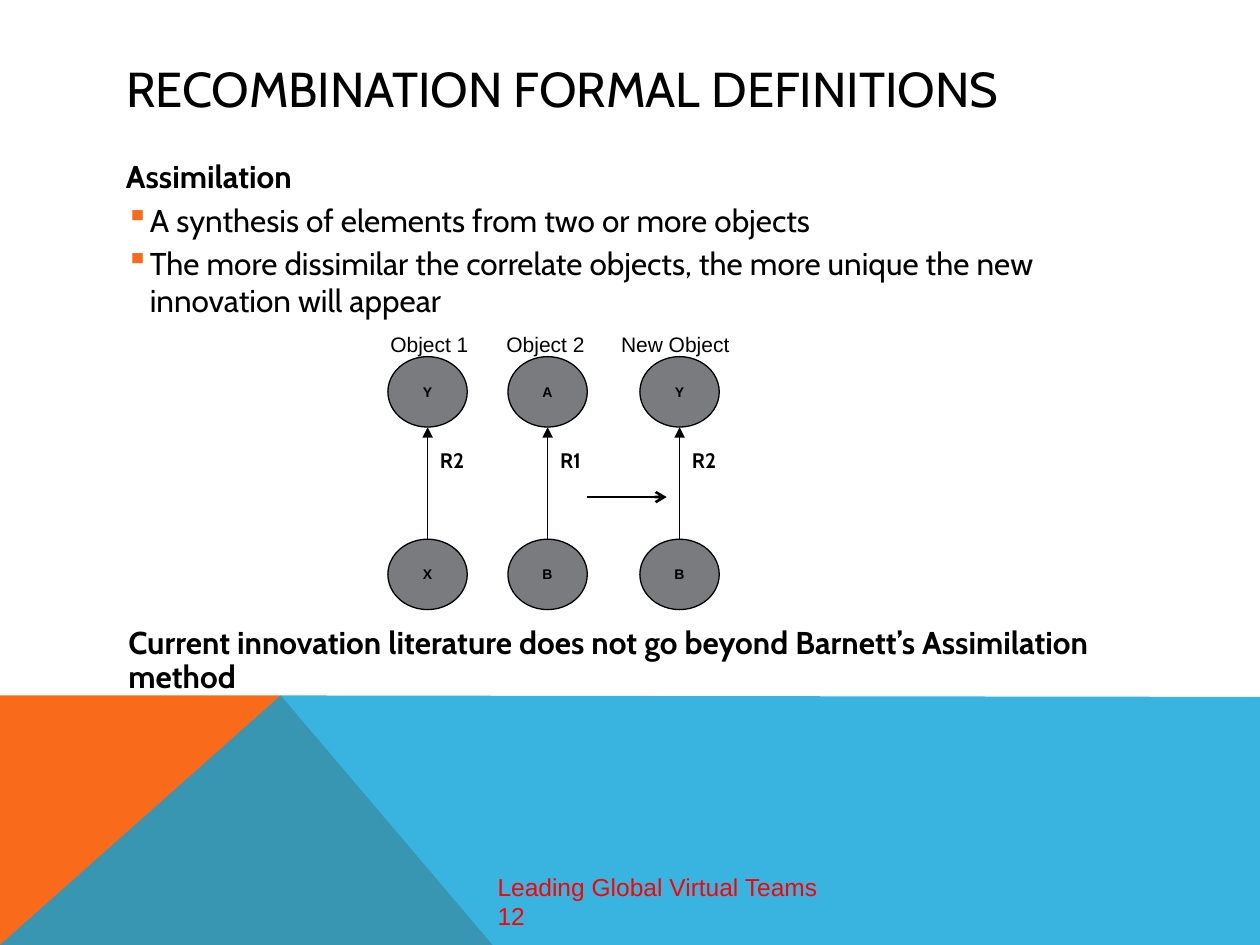
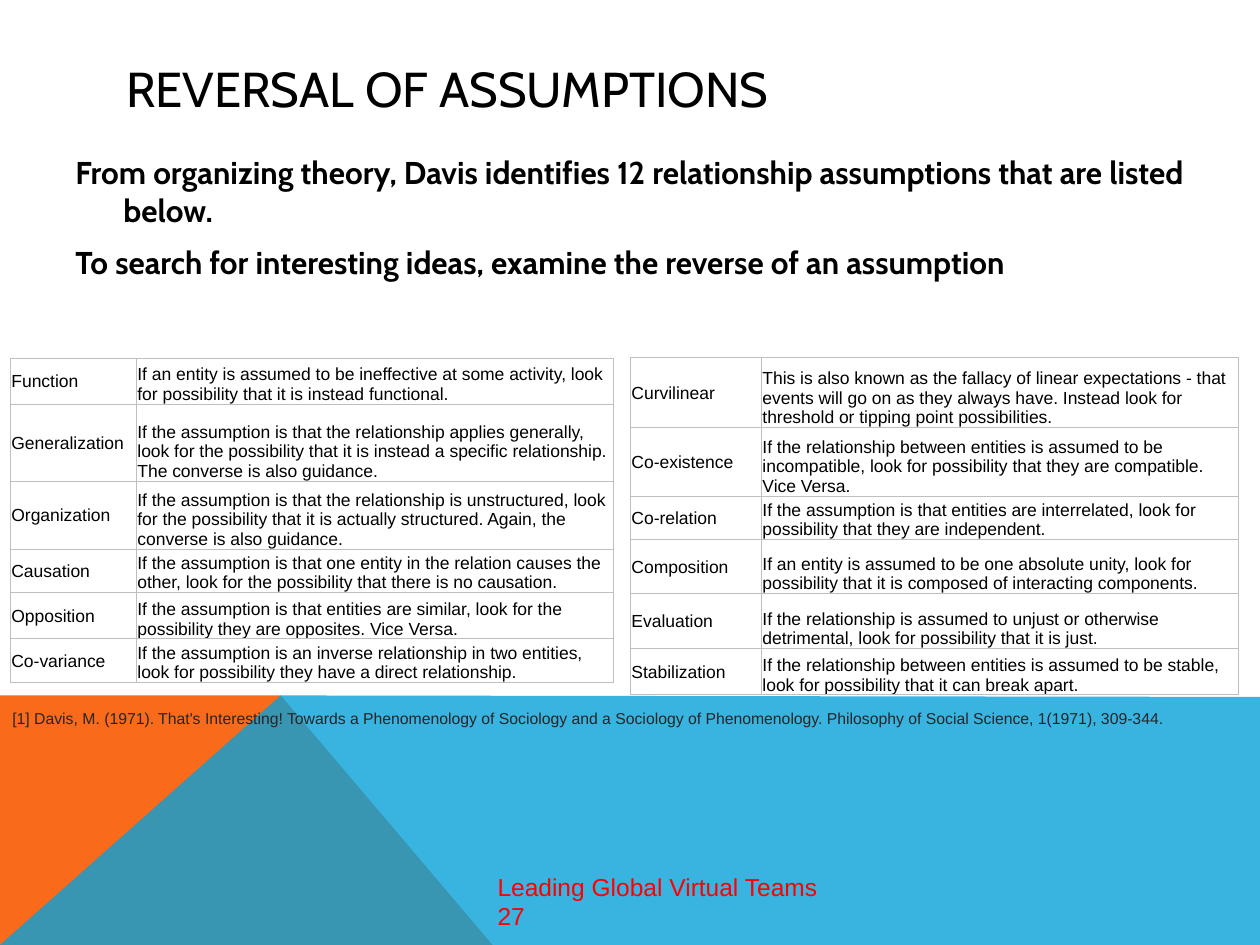
"""Builds two slides on recombination and on the reversal of assumptions."""
from lxml import etree
from pptx import Presentation
from pptx.dml.color import RGBColor
from pptx.enum.shapes import MSO_CONNECTOR, MSO_SHAPE
from pptx.enum.text import MSO_ANCHOR, MSO_AUTO_SIZE, PP_ALIGN
from pptx.oxml.ns import qn
from pptx.util import Cm, Pt

BLACK = RGBColor(0x00, 0x00, 0x00)
RED = RGBColor(0xFF, 0x00, 0x00)
ORANGE = RGBColor(0xF9, 0x6A, 0x1B)
BLUE = RGBColor(0x08, 0xA1, 0xD9)
GREY = RGBColor(0x79, 0x7B, 0x7E)
SILVER = RGBColor(0xBF, 0xBF, 0xBF)
DARK = RGBColor(0x26, 0x26, 0x26)
SANS, HEAD = "Arial", "Cabin"
LEFT, CENTER = PP_ALIGN.LEFT, PP_ALIGN.CENTER
MIDDLE, BOTTOM = MSO_ANCHOR.MIDDLE, MSO_ANCHOR.BOTTOM
FIXED = MSO_AUTO_SIZE.NONE
OVAL, STRAIGHT = MSO_SHAPE.OVAL, MSO_CONNECTOR.STRAIGHT


def put(frame, text, size=18, face=SANS, tint=BLACK, bold=False,
        align=LEFT, gap=0, hang=0, mark=None, space=None):
    par = frame.paragraphs[-1]
    if par.runs:
        par = frame.add_paragraph()
        par.space_before = Pt(gap)
    par.alignment = align
    par.line_spacing = space
    props = par._p.get_or_add_pPr()
    if hang:
        props.set("marL", str(Cm(hang)))
        props.set("indent", str(-Cm(hang)))
    if mark:
        color = etree.SubElement(props, qn("a:buClr"))
        etree.SubElement(color, qn("a:srgbClr"), val=str(ORANGE))
        etree.SubElement(props, qn("a:buChar"), char=mark)
    run = par.add_run()
    run.text = text
    run.font.size = Pt(size)
    run.font.name = face
    run.font.bold = bold
    run.font.color.rgb = tint


def box(slide, x, y, w, h):
    frame = slide.shapes.add_textbox(Cm(x), Cm(y), Cm(w), Cm(h)).text_frame
    frame.word_wrap = True
    return frame


deck = Presentation()
deck.slide_width, deck.slide_height = Cm(25.4), Cm(19.05)

BANDS = [
    (ORANGE, 100, [(0, 19.05), (0, 14.02), (5.66, 14.02), (9.93, 19.05)]),
    (BLUE, 80, [(0, 19.05), (5.66, 14.02), (25.4, 14.05), (25.4, 19.05)]),
]
PAGES = [("RECOMBINATION FORMAL DEFINITIONS", "12"),
         ("REVERSAL OF ASSUMPTIONS", "27")]
for name, page in PAGES:
    slide = deck.slides.add_slide(deck.slide_layouts[5])
    title = slide.shapes.title
    title.left, title.top = Cm(2.29), Cm(1.02)
    title.width, title.height = Cm(20.9), Cm(1.52)
    title.text_frame.auto_size = FIXED
    title.text_frame.vertical_anchor = MIDDLE
    put(title.text_frame, name, size=28, face=HEAD)
    for tint, alpha, points in BANDS:
        spots = [(Cm(x), Cm(y)) for x, y in points]
        path = slide.shapes.build_freeform(*spots[0], scale=1.0)
        path.add_line_segments(spots[1:], close=True)
        band = path.convert_to_shape()
        band.shadow.inherit = False
        band.line.fill.background()
        band.fill.solid()
        band.fill.fore_color.rgb = tint
        if alpha < 100:
            color = band._element.spPr.find(".//" + qn("a:srgbClr"))
            etree.SubElement(color, qn("a:alpha"), val=str(alpha * 1000))
    foot = box(slide, 9.78, 17.45, 15.62, 0.76)
    for text in ("Leading Global Virtual Teams", page):
        put(foot, text, size=14, tint=RED)

first, second = deck.slides

body = box(first, 2.29, 3.05, 20.9, 4.14)
put(body, "Assimilation", face=HEAD, bold=True, hang=0.97)
for text in (
    "A synthesis of elements from two or more objects",
    "The more dissimilar the correlate objects, the more unique the new "
    "innovation will appear",
):
    put(body, text, face=HEAD, gap=3, hang=0.48, mark="▪")
put(box(first, 2.34, 12.52, 20.9, 1.45),
    "Current innovation literature does not go beyond Barnett’s "
    "Assimilation method", face=HEAD, bold=True, space=0.9)

WIDE, HIGH = 1.6, 1.42
UPPER, LOWER = 7.19, 10.87
PAIRS = [
    (7.82, "Y", "R2", "X", "Object 1", 7.62, 2.11),
    (10.24, "A", "R1", "B", "Object 2", 9.96, 2.11),
    (12.9, "Y", "R2", "B", "New Object", 12.27, 2.97),
]
lines = [(11.84, 10.02, 13.44, 10.02, 1.5, "arrow")]
for x, top, link, base, name, start, width in PAIRS:
    mid = x + WIDE / 2
    lines.append((mid, LOWER, mid, UPPER + HIGH, 0.75, "triangle"))
    for y, text in ((UPPER, top), (LOWER, base)):
        node = first.shapes.add_shape(OVAL, Cm(x), Cm(y), Cm(WIDE), Cm(HIGH))
        node.shadow.inherit = False
        node.fill.solid()
        node.fill.fore_color.rgb = GREY
        node.line.color.rgb = BLACK
        node.line.width = Pt(0.75)
        node.text_frame.word_wrap = False
        node.text_frame.vertical_anchor = MIDDLE
        put(node.text_frame, text, size=8, bold=True, align=CENTER)
    put(box(first, mid, 8.89, 1.32, 0.76), link,
        size=12, face=HEAD, bold=True)
    put(box(first, start, 6.55, width, 0.76), name, size=12)

for x1, y1, x2, y2, weight, tip in lines:
    line = first.shapes.add_connector(STRAIGHT, Cm(x1), Cm(y1), Cm(x2), Cm(y2))
    line.line.color.rgb = BLACK
    line.line.width = Pt(weight)
    etree.SubElement(line.line._get_or_add_ln(), qn("a:tailEnd"), type=tip)
    etree.SubElement(line._element.spPr, qn("a:effectLst"))

GRIDS = [
    (0.2, 7.22, (2.54, 9.63), [
        (0.93, "Function",
         "If an entity is assumed to be ineffective at some activity, look "
         "for possibility that it is instead functional."),
        (1.55, "Generalization",
         "If the assumption is that the relationship applies generally, look "
         "for the possibility that it is instead a specific relationship. "
         "The converse is also guidance."),
        (1.37, "Organization",
         "If the assumption is that the relationship is unstructured, look "
         "for the possibility that it is actually structured. Again, the "
         "converse is also guidance."),
        (0.81, "Causation",
         "If the assumption is that one entity in the relation causes the "
         "other, look for the possibility that there is no causation."),
        (0.93, "Opposition",
         "If the assumption is that entities are similar, look for the "
         "possibility they are opposites. Vice Versa."),
        (0.81, "Co-variance",
         "If the assumption is an inverse relationship in two entities, "
         "look for possibility they have a direct relationship."),
    ]),
    (12.7, 7.2, (2.64, 9.63), [
        (1.42, "Curvilinear",
         "This is also known as the fallacy of linear expectations - that "
         "events will go on as they always have. Instead look for threshold "
         "or tipping point possibilities."),
        (1.38, "Co-existence",
         "If the relationship between entities is assumed to be "
         "incompatible, look for possibility that they are compatible. "
         "Vice Versa."),
        (0.81, "Co-relation",
         "If the assumption is that entities are interrelated, look for "
         "possibility that they are independent."),
        (1.09, "Composition",
         "If an entity is assumed to be one absolute unity, look for "
         "possibility that it is composed of interacting components."),
        (1.11, "Evaluation",
         "If the relationship is assumed to unjust or otherwise "
         "detrimental, look for possibility that it is just."),
        (0.93, "Stabilization",
         "If the relationship between entities is assumed to be stable, "
         "look for possibility that it can break apart."),
    ]),
]
for x, y, widths, rows in GRIDS:
    high = sum(row[0] for row in rows)
    grid = second.shapes.add_table(len(rows), 2, Cm(x), Cm(y),
                                   Cm(sum(widths)), Cm(high)).table
    grid.first_row = grid.horz_banding = False
    for col, width in zip(grid.columns, widths):
        col.width = Cm(width)
    for row, (height, *texts) in zip(grid.rows, rows):
        row.height = Cm(height)
        for cell, text, anchor in zip(row.cells, texts, (MIDDLE, BOTTOM)):
            cell.margin_left = cell.margin_right = cell.margin_top = Cm(0.03)
            cell.margin_bottom = 0
            cell.vertical_anchor = anchor
            put(cell.text_frame, text, size=10)
            props = cell._tc.get_or_add_tcPr()
            for side in ("a:lnL", "a:lnR", "a:lnT", "a:lnB"):
                edge = etree.SubElement(props, qn(side), w=str(Pt(0.5)))
                fill = etree.SubElement(edge, qn("a:solidFill"))
                etree.SubElement(fill, qn("a:srgbClr"), val=str(SILVER))
            cell.fill.background()

lead = box(second, 1.27, 2.97, 24.13, 3.81)
for text in (
    "From organizing theory, Davis identifies 12 relationship assumptions "
    "that are listed below.",
    "To search for interesting ideas, examine the reverse of an assumption",
):
    put(lead, text, face=HEAD, bold=True, gap=8, hang=0.97)
put(box(second, 0, 14.17, 24.13, 1.02),
    "[1] Davis, M. (1971). That's Interesting! Towards a Phenomenology of "
    "Sociology and a Sociology of Phenomenology. Philosophy of Social "
    "Science, 1(1971), 309-344.", size=9, tint=DARK)

deck.save("out.pptx")
